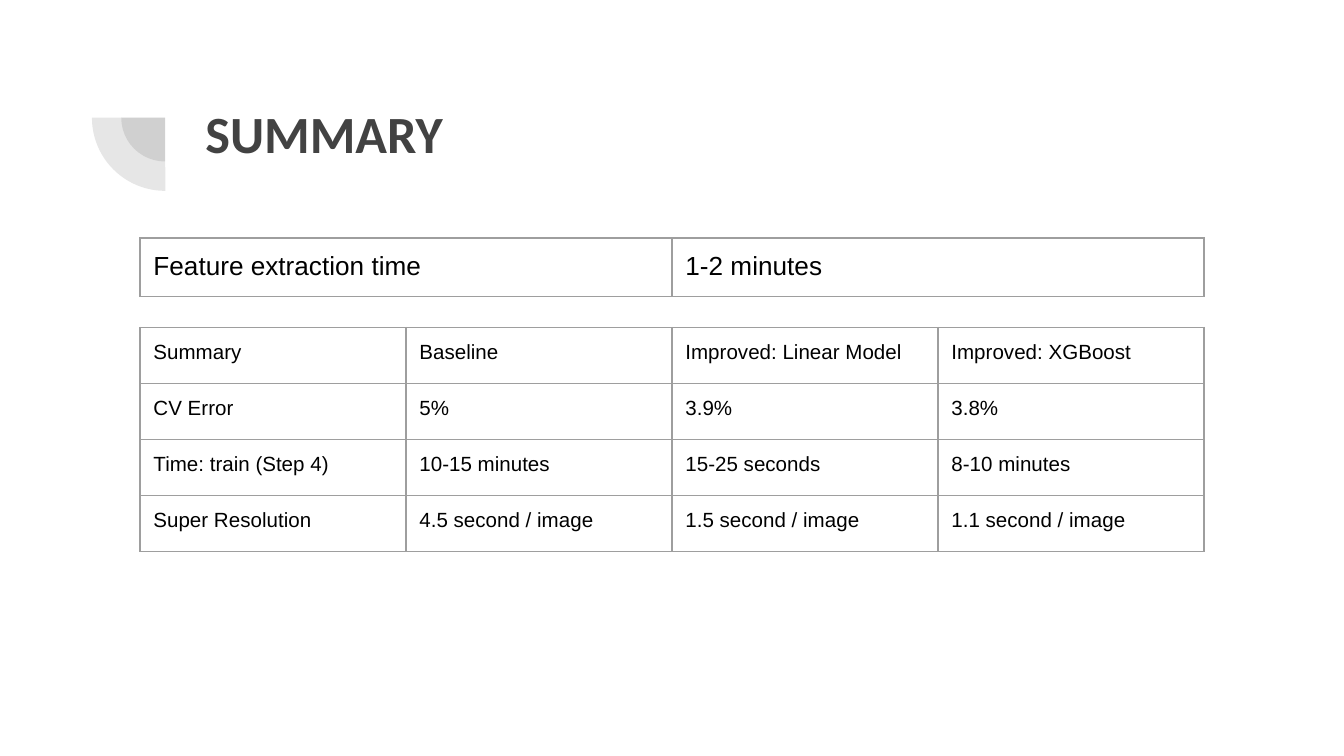
"""Build the summary slide with its timing and model comparison tables."""
from lxml.etree import SubElement
from pptx import Presentation
from pptx.dml.color import RGBColor
from pptx.enum.shapes import MSO_SHAPE as Shape
from pptx.enum.text import MSO_ANCHOR as Anchor
from pptx.oxml import parse_xml
from pptx.oxml.ns import nsdecls, qn
from pptx.util import Pt

HEADING = "SUMMARY"
TABLES = [
    {"top": 127.5, "size": 14, "rows": [
        ["Feature extraction time", "1-2 minutes"],
    ]},
    {"top": 175.5, "size": 11, "rows": [
        ["Summary", "Baseline", "Improved: Linear Model", "Improved: XGBoost"],
        ["CV Error", "5%", "3.9%", "3.8%"],
        ["Time: train (Step 4)", "10-15 minutes", "15-25 seconds", "8-10 minutes"],
        ["Super Resolution", "4.5 second / image", "1.5 second / image", "1.1 second / image"],
    ]},
]
DARK, BLACK, BORDER = "424242", "000000", "9E9E9E"
TABLE_LEFT, TABLE_WIDTH, ROW_HEIGHT, FRAME_SIDE = 75, 570, 30, 236.2
PIE_CENTER, PIE_DIAMETERS = (88.5, 63), (47, 78.5)
INSETS = {f"margin_{side}": Pt(7.2) for side in ("left", "top", "right", "bottom")}


def color(hex_code):
    return RGBColor.from_string(hex_code)


def assign(target, values):
    for key, value in values.items():
        setattr(target, key, value)


def write(frame, wording, font_color, **font):
    run = frame.paragraphs[0].add_run()
    run.text = wording
    assign(run.font, font)
    run.font.color.rgb = color(font_color)


def add_quarter(slide, diameter):
    left, top = (center - diameter / 2 for center in PIE_CENTER)
    quarter = slide.shapes.add_shape(Shape.PIE, Pt(left), Pt(top), Pt(diameter), Pt(diameter))
    quarter.adjustments[0], quarter.adjustments[1] = 107.93, 162
    quarter.rotation = 270
    quarter.shadow.inherit = False
    quarter.fill.solid()
    quarter.fill.fore_color.rgb = color(DARK)
    quarter.line.fill.background()
    tint = quarter.fill._xPr.find(qn("a:solidFill"))[0]
    SubElement(tint, qn("a:alpha"), val="13000")


def add_borders(cell):
    for position, side in enumerate(("lnL", "lnR", "lnT", "lnB")):
        edge = parse_xml(
            f'<a:{side} {nsdecls("a")} w="{Pt(0.75)}"><a:solidFill>'
            f'<a:srgbClr val="{BORDER}"/></a:solidFill></a:{side}>')
        cell._tc.get_or_add_tcPr().insert(position, edge)


def add_grid(slide, top, size, rows):
    count = len(rows[0])
    holder = slide.shapes.add_table(
        len(rows), count, Pt(TABLE_LEFT), Pt(top), Pt(FRAME_SIDE), Pt(FRAME_SIDE))
    grid = holder.table
    assign(grid, {"first_row": False, "horz_banding": False})
    for column in grid.columns:
        column.width = Pt(TABLE_WIDTH / count)
    for line in grid.rows:
        line.height = Pt(ROW_HEIGHT)
    assign(holder, {"width": Pt(FRAME_SIDE), "height": Pt(FRAME_SIDE)})
    for r, row in enumerate(rows):
        for c, wording in enumerate(row):
            cell = grid.cell(r, c)
            assign(cell, {**INSETS, "vertical_anchor": Anchor.TOP})
            cell.fill.background()
            add_borders(cell)
            write(cell.text_frame, wording, BLACK, name="Arial", size=Pt(size))


def main():
    deck = Presentation()
    assign(deck, {"slide_width": Pt(720), "slide_height": Pt(405)})
    slide = deck.slides.add_slide(deck.slide_layouts[6])
    for diameter in PIE_DIAMETERS:
        add_quarter(slide, diameter)
    heading = slide.shapes.add_textbox(Pt(103), Pt(47), Pt(553.5), Pt(78.5)).text_frame
    assign(heading, {**INSETS, "word_wrap": True, "vertical_anchor": Anchor.TOP})
    write(heading, HEADING, DARK, name="Calibri", size=Pt(28), bold=True)
    for table in TABLES:
        add_grid(slide, **table)
    deck.save("out.pptx")


if __name__ == "__main__":
    main()
